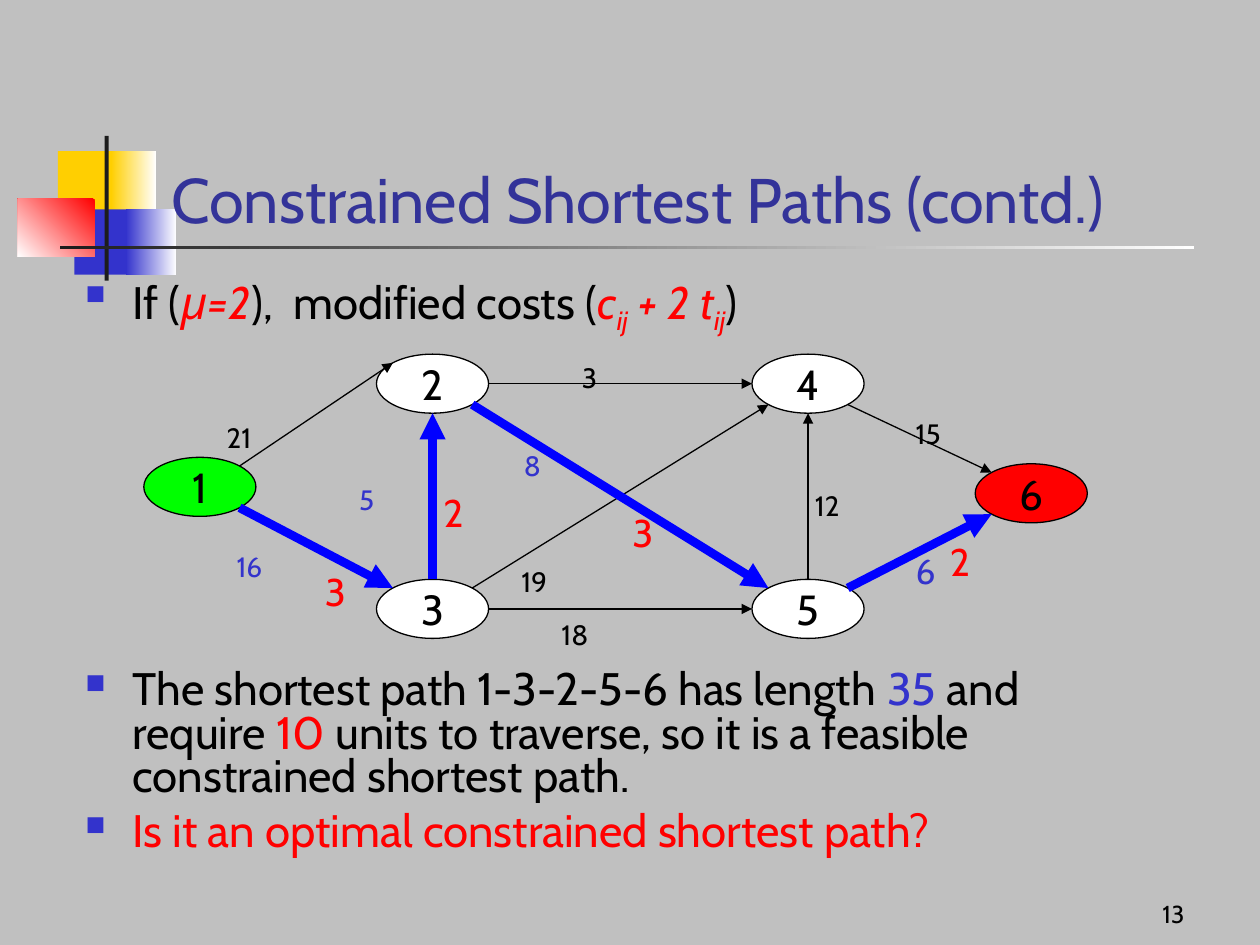
import math
from dataclasses import dataclass

import lxml.etree
import pptx
import pptx.dml.color
import pptx.enum.shapes
import pptx.enum.text
import pptx.oxml
import pptx.oxml.ns
import pptx.util

Cm, Pt = pptx.util.Cm, pptx.util.Pt
RGB = pptx.dml.color.RGBColor.from_string
SHAPE = pptx.enum.shapes.MSO_SHAPE
ALIGN = pptx.enum.text.PP_ALIGN
ANCHOR = pptx.enum.text.MSO_ANCHOR
FIT = pptx.enum.text.MSO_AUTO_SIZE
qn = pptx.oxml.ns.qn


@dataclass(frozen=True)
class Theme:
    font: str = "Cabin"
    background: str = "C0C0C0"
    title: str = "333399"
    ink: str = "000000"
    accent: str = "3333CC"
    red: str = "FF0000"
    yellow: str = "FFCF01"
    white: str = "FFFFFF"
    bar: str = "1C1C1C"
    source: str = "00FF00"
    route: str = "0000FF"
    title_size: int = 36
    body_size: int = 26
    node_size: int = 24
    time_size: int = 22
    large_cost_size: int = 20
    cost_size: int = 16
    number_size: int = 14
    thin: float = 0.75
    thick: float = 5


THEME = Theme()


def add_text(paragraph, text, size, color=THEME.ink, italic=False, subscript=False):
    run = paragraph.add_run()
    run.text = text
    run.font.name = THEME.font
    run.font.size = Pt(size)
    run.font.italic = italic
    run.font.color.rgb = RGB(color)
    if subscript:
        run.font._element.set("baseline", "-25000")


class SlideBuilder:
    def __init__(self, slide, theme):
        self.slide, self.theme = slide, theme
        slide.background.fill.solid()
        slide.background.fill.fore_color.rgb = RGB(theme.background)

    def block(self, box, start, end=None, angle=180):
        """Rectangle without outline, plain or fading from start to end."""
        shape = self.slide.shapes.add_shape(SHAPE.RECTANGLE, *map(Cm, box))
        shape.shadow.inherit = False
        shape.line.fill.background()
        if end is None:
            shape.fill.solid()
            shape.fill.fore_color.rgb = RGB(start)
            return
        shape.fill.gradient()
        shape.fill.gradient_angle = angle
        for stop, color, position in zip(shape.fill.gradient_stops, (start, end), (0, 1)):
            stop.color.rgb = RGB(color)
            stop.position = position

    def title(self, text, box):
        title = self.slide.shapes.title
        title.left, title.top, title.width, title.height = map(Cm, box)
        title.element.getparent().append(title.element)  # in front of the blocks
        frame = title.text_frame
        frame.auto_size = FIT.NONE
        frame.vertical_anchor = ANCHOR.BOTTOM
        frame.paragraphs[0].alignment = ALIGN.LEFT
        add_text(frame.paragraphs[0], text, self.theme.title_size, self.theme.title)

    def text_box(self, box, wrap=True):
        frame = self.slide.shapes.add_textbox(*map(Cm, box)).text_frame
        frame.word_wrap = wrap
        return frame

    def bullets(self, box, items):
        """Each item is (space before in points, runs); a run is (text, format)."""
        frame = self.text_box(box)
        for index, (space, runs) in enumerate(items):
            paragraph = frame.add_paragraph() if index else frame.paragraphs[0]
            paragraph.line_spacing = 0.8
            paragraph.space_before = Pt(space)
            props = paragraph._p.get_or_add_pPr()
            props.set("marL", str(Cm(0.95)))
            props.set("indent", str(-Cm(0.95)))
            color = lxml.etree.SubElement(props, qn("a:buClr"))
            lxml.etree.SubElement(color, qn("a:srgbClr"), val=self.theme.accent)
            lxml.etree.SubElement(props, qn("a:buSzPct"), val="60000")
            lxml.etree.SubElement(props, qn("a:buChar"), char="■")
            for text, style in runs:
                add_text(paragraph, text, self.theme.body_size, **style)

    def node(self, name, left, top, color):
        node = self.slide.shapes.add_shape(SHAPE.OVAL, Cm(left), Cm(top), Cm(2.26), Cm(1.19))
        node.shadow.inherit = False
        node.fill.solid()
        node.fill.fore_color.rgb = RGB(color)
        node.line.color.rgb = RGB(self.theme.ink)
        node.line.width = Pt(self.theme.thin)
        frame = node.text_frame
        frame.word_wrap = False
        frame.vertical_anchor = ANCHOR.MIDDLE
        frame.paragraphs[0].alignment = ALIGN.CENTER
        add_text(frame.paragraphs[0], name, self.theme.node_size)
        return node

    def edge(self, tail, tail_angle, head, head_angle, on_route):
        """Arrow between rim points, given in degrees clockwise from the right."""
        points = rim_point(tail, tail_angle) + rim_point(head, head_angle)
        edge = self.slide.shapes.add_connector(pptx.enum.shapes.MSO_CONNECTOR.STRAIGHT, *points)
        edge.line.color.rgb = RGB(self.theme.route if on_route else self.theme.ink)
        edge.line.width = Pt(self.theme.thick if on_route else self.theme.thin)
        lxml.etree.SubElement(edge.line._get_or_add_ln(), qn("a:tailEnd"), type="triangle")
        lxml.etree.SubElement(edge._element.spPr, qn("a:effectLst"))

    def label(self, text, left, top, size, color):
        width, height = 0.51 + 0.02 * size * len(text), 0.26 + 0.042 * size
        frame = self.text_box((left, top, width, height), wrap=False)
        frame.auto_size = FIT.SHAPE_TO_FIT_TEXT
        add_text(frame.paragraphs[0], text, size, color)

    def page_number(self, text, box):
        frame = self.text_box(box)
        frame.vertical_anchor = ANCHOR.BOTTOM
        frame.paragraphs[0].alignment = ALIGN.RIGHT
        add_text(frame.paragraphs[0], text, self.theme.number_size)


def rim_point(node, angle):
    turn = math.radians(angle)
    return (round(node.left + node.width / 2 * (1 + math.cos(turn))),
            round(node.top + node.height / 2 * (1 + math.sin(turn))))


def main():
    t = THEME
    deck = pptx.Presentation()
    deck.slide_width, deck.slide_height = Cm(25.4), Cm(19.05)
    page = SlideBuilder(deck.slides.add_slide(deck.slide_layouts[5]), t)

    # Corner ornament and rule
    page.block((1.17, 3.05, 1.22, 1.32), t.yellow)
    page.block((2.24, 3.05, 0.91, 1.32), t.white, t.yellow)
    page.block((1.5, 4.22, 1.17, 1.32), t.accent)
    page.block((2.54, 4.22, 1.02, 1.32), t.white, t.accent)
    page.block((0.36, 4.01, 1.55, 1.17), t.red, t.white, angle=225)
    page.block((2.11, 2.74, 0.08, 2.92), t.bar)
    page.block((1.22, 4.95, 22.86, 0.08), t.white, t.bar)

    # Title and bullets; the wide space leaves room for the network
    page.title("Constrained Shortest Paths (contd.)", (3.2, 1.7, 21.64, 3.18))
    red = {"color": t.red}
    math_style = {"color": t.red, "italic": True}
    index_style = {**math_style, "subscript": True}
    page.bullets((1.47, 5.51, 21.59, 12.22), [
        (6.5, [("If (", {}), ("μ=2", math_style), ("),  modified costs (", {}),
               ("c", math_style), ("ij", index_style), (" + 2 t", math_style),
               ("ij", index_style), (")", {})]),
        (195, [("The shortest path 1-3-2-5-6 has length ", {}), ("35", {"color": t.accent}),
               (" and require ", {}), ("10", red),
               (" units to traverse, so it is a feasible constrained shortest path.", {})]),
        (6.5, [("Is it an optimal constrained shortest path?", red)]),
    ])

    # Network nodes
    left_column, right_column, upper_row, lower_row = 7.59, 15.16, 7.14, 11.68
    nodes = {name: page.node(name, *place) for name, place in {
        "1": (2.9, 9.22, t.source),
        "2": (left_column, upper_row, t.white),
        "3": (left_column, lower_row, t.white),
        "4": (right_column, upper_row, t.white),
        "5": (right_column, lower_row, t.white),
        "6": (19.66, 9.35, t.red),
    }.items()}

    # Network edges; the thick ones form the route 1-3-2-5-6
    route = ("13", "32", "25", "56")
    for ends, tail_angle, head_angle in (
            ("12", -45, 225), ("24", 0, 180), ("35", 0, 180), ("46", 45, 225),
            ("56", -45, 135), ("32", -90, 90), ("13", 45, 225), ("34", -45, 135),
            ("25", 45, 225), ("54", -90, 90)):
        page.edge(nodes[ends[0]], tail_angle, nodes[ends[1]], head_angle, ends in route)

    # Modified costs, then traversal times on the route
    for size, color, labels in (
            (t.cost_size, t.ink, (("21", 4.32, 8.36), ("3", 11.48, 7.14), ("19", 10.26, 11.25),
                                  ("18", 11.07, 12.32), ("15", 18.21, 8.28), ("12", 16.18, 9.73))),
            (t.cost_size, t.accent, (("8", 10.31, 8.92), ("16", 4.52, 10.95), ("5", 6.99, 9.6))),
            (t.large_cost_size, t.accent, (("6", 18.21, 10.95),)),
            (t.time_size, t.red, (("3", 6.3, 11.33), ("2", 8.69, 9.73),
                                  ("3", 12.5, 10.13), ("2", 18.9, 10.72)))):
        for text, left, top in labels:
            page.label(text, left, top, size, color)

    page.page_number("13", (18.85, 17.58, 5.28, 1.27))
    deck.save("out.pptx")


if __name__ == "__main__":
    main()
